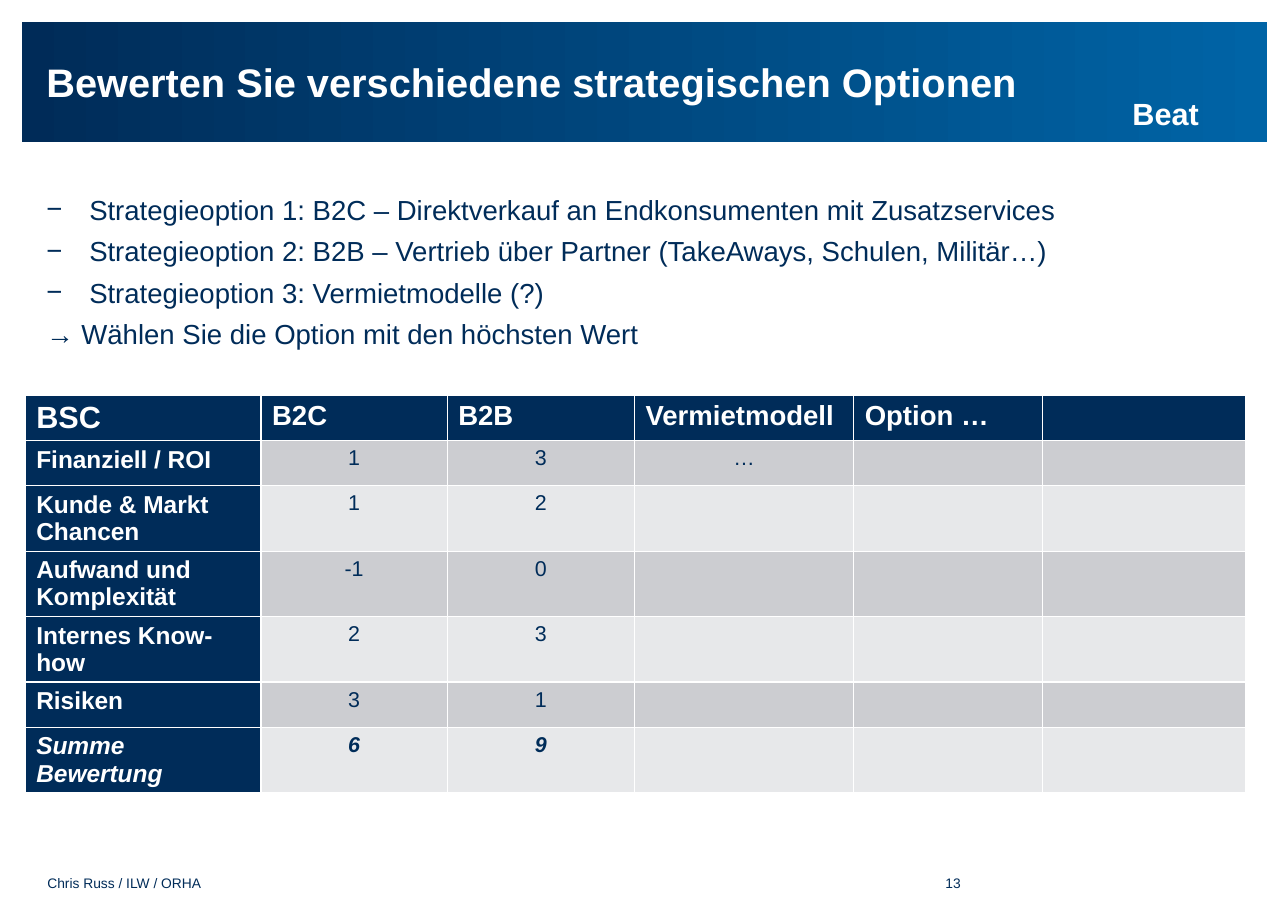
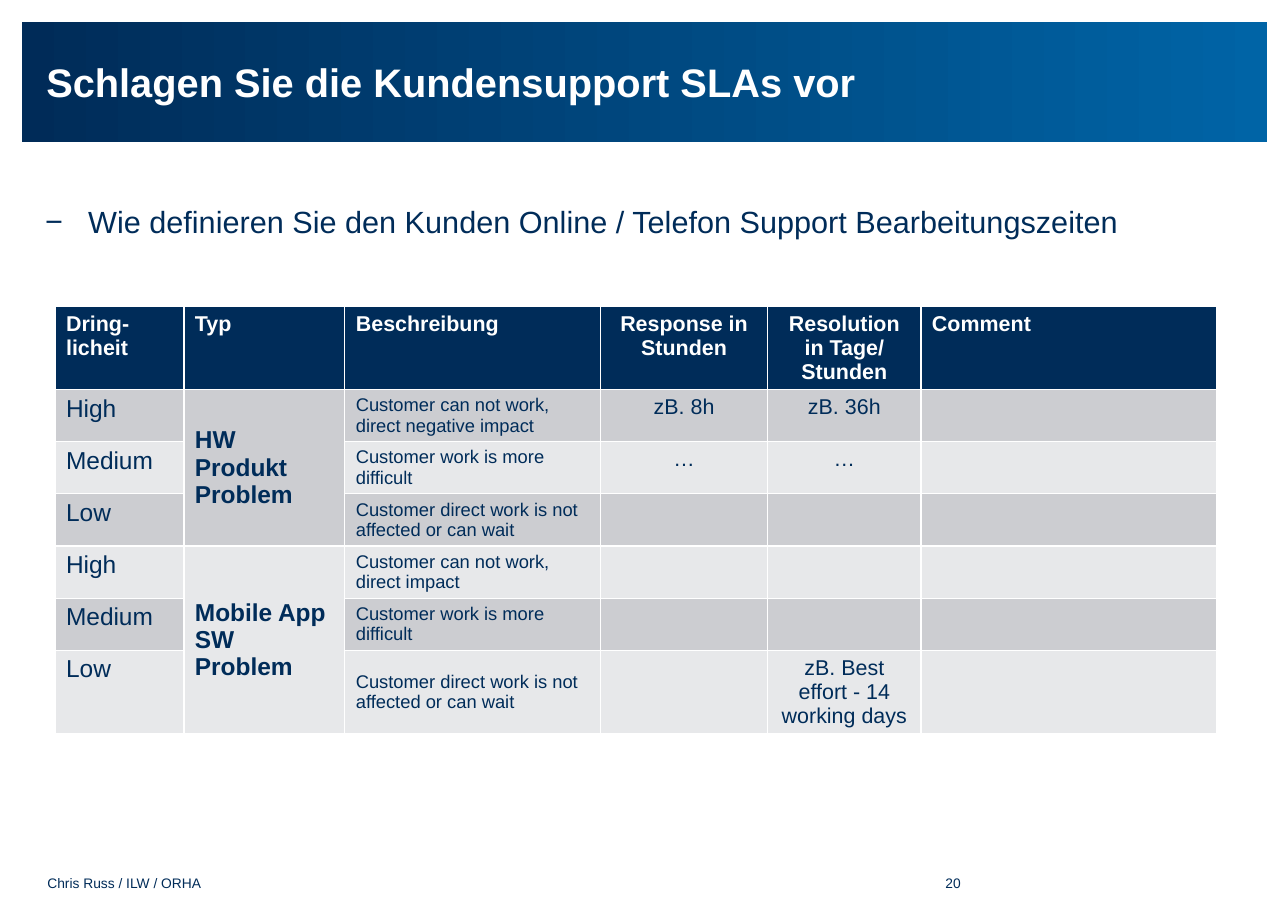
from dataclasses import dataclass

from lxml import etree
from pptx import Presentation
from pptx import util as u
from pptx.dml.color import RGBColor
from pptx.enum import shapes, text
from pptx.oxml.ns import qn


@dataclass(frozen=True)
class Theme:
    font: str = "Arial"
    navy: RGBColor = RGBColor(0x00, 0x2C, 0x59)
    band_start: RGBColor = RGBColor(0x00, 0x2B, 0x58)
    band_end: RGBColor = RGBColor(0x00, 0x64, 0xA6)
    white: RGBColor = RGBColor(0xFF, 0xFF, 0xFF)
    row_dark: RGBColor = RGBColor(0xCC, 0xCD, 0xD1)
    row_light: RGBColor = RGBColor(0xE7, 0xE8, 0xEA)
    title_size: int = 26
    large_size: int = 20
    body_size: int = 18
    label_size: int = 16
    value_size: int = 14
    detail_size: int = 12
    footer_size: int = 9


theme = Theme()
LEFT, CENTER, RIGHT = text.PP_ALIGN.LEFT, text.PP_ALIGN.CENTER, text.PP_ALIGN.RIGHT
TOP, MIDDLE = text.MSO_ANCHOR.TOP, text.MSO_ANCHOR.MIDDLE


def write(frame, lines, size, color=theme.navy, align=LEFT, bold=False, italic=False):
    frame.word_wrap = True
    for number, line in enumerate(lines):
        paragraph = frame.add_paragraph() if number else frame.paragraphs[0]
        paragraph.alignment = align
        run = paragraph.add_run()
        run.text = line
        run.font.color.rgb = color
        formats = {"name": theme.font, "size": u.Pt(size), "bold": bold, "italic": italic}
        for name, value in formats.items():
            setattr(run.font, name, value)


def place(shape, box, anchor=TOP):
    for name, value in zip(("left", "top", "width", "height"), box):
        setattr(shape, name, u.Inches(value))
    formats = {"auto_size": text.MSO_AUTO_SIZE.NONE, "vertical_anchor": anchor}
    formats.update({f"margin_{side}": 0 for side in ("left", "top", "right", "bottom")})
    for name, value in formats.items():
        setattr(shape.text_frame, name, value)


pages = [
    {
        "title": "Bewerten Sie verschiedene strategischen Optionen",
        "number": "13",
        "author": "Beat",
        "body_box": (0.42, 1.69, 11.09, 1.74),
        "body_size": theme.body_size,
        "bullets": [
            "Strategieoption 1: B2C – Direktverkauf an Endkonsumenten mit Zusatzservices",
            "Strategieoption 2: B2B – Vertrieb über Partner (TakeAways, Schulen, Militär…)",
            "Strategieoption 3: Vermietmodelle (?)",
        ],
        "conclusion": ["→ Wählen Sie die Option mit den höchsten Wert"],
        "table_at": (0.23, 3.59),
        "columns": [2.14, 1.69, 1.7, 1.99, 1.71, 1.85],
        "header_sizes": [theme.large_size] + [theme.body_size] * 5,
        "header_aligns": [LEFT] * 6,
        "sizes": [theme.label_size] + [theme.value_size] * 5,
        "aligns": [LEFT] + [CENTER] * 5,
        "bold_column": 0,
        "label_column": True,
        "total_row": 6,
        "merges": [],
        "middle_cells": [],
        "rows": [
            ["BSC", "B2C", "B2B", "Vermietmodell", "Option …", ""],
            ["Finanziell / ROI", "1", "3", "…", "", ""],
            ["Kunde & Markt Chancen", "1", "2", "", "", ""],
            ["Aufwand und Komplexität", "-1", "0", "", "", ""],
            ["Internes Know-how", "2", "3", "", "", ""],
            ["Risiken", "3", "1", "", "", ""],
            ["Summe Bewertung", "6", "9", "", "", ""],
        ],
    },
    {
        "title": "Schlagen Sie die Kundensupport SLAs vor",
        "number": "20",
        "author": "",
        "body_box": (0.41, 1.78, 11.09, 0.8),
        "body_size": theme.large_size,
        "bullets": ["Wie definieren Sie den Kunden Online / Telefon Support Bearbeitungszeiten"],
        "conclusion": [],
        "table_at": (0.5, 2.78),
        "columns": [1.17, 1.46, 2.32, 1.52, 1.39, 2.68],
        "header_sizes": [theme.value_size] * 6,
        "header_aligns": [LEFT] * 3 + [CENTER] * 2 + [LEFT],
        "sizes": [theme.label_size] * 2 + [theme.detail_size] + [theme.value_size] * 3,
        "aligns": [LEFT] * 3 + [CENTER] * 2 + [LEFT],
        "bold_column": 1,
        "label_column": False,
        "total_row": None,
        "merges": [((1, 1), (3, 1)), ((4, 1), (6, 1))],
        "middle_cells": [(1, 1), (4, 1), (3, 2), (6, 2)],
        "rows": [
            ["Dring-licheit", "Typ", "Beschreibung", "Response in Stunden",
             "Resolution in Tage/ Stunden", "Comment"],
            ["High", "HW Produkt Problem", "Customer can not work, direct negative impact",
             "zB. 8h", "zB. 36h", ""],
            ["Medium", "", "Customer work is more difficult", "…", "…", ""],
            ["Low", "", "Customer direct work is not affected or can wait", "", "", ""],
            ["High", "Mobile App SW Problem", "Customer can not work, direct impact", "", "", ""],
            ["Medium", "", "Customer work is more difficult", "", "", ""],
            ["Low", "", "Customer direct work is not affected or can wait", "",
             "zB. Best effort - 14 working days", ""],
        ],
    },
]

presentation = Presentation()
presentation.slide_width = u.Inches(11.69)
presentation.slide_height = u.Inches(8.27)
title_only = presentation.slide_layouts[5]

for page in pages:
    slide = presentation.slides.add_slide(title_only)

    band = slide.shapes.add_shape(
        shapes.MSO_SHAPE.RECTANGLE, u.Inches(0.2), u.Inches(0.2), u.Inches(11.3), u.Inches(1.09))
    band.shadow.inherit = False
    band.line.fill.background()
    band.fill.gradient()
    band.fill.gradient_angle = 0
    for stop, color, position in zip(
            band.fill.gradient_stops, (theme.band_start, theme.band_end), (0, 1)):
        stop.color.rgb = color
        stop.position = position
    slide.shapes.element.insert(2, band.element)

    title = slide.shapes.title
    place(title, (0.42, 0.28, 10.86, 0.92), MIDDLE)
    write(title.text_frame, [page["title"]], theme.title_size, theme.white, bold=True)

    for line, box, align in (
            ("Chris Russ / ILW / ORHA", (0.43, 7.94, 1.65, 0.15), LEFT),
            (page["number"], (7.85, 7.94, 0.87, 0.15), RIGHT)):
        footer = slide.shapes.add_textbox(0, 0, 0, 0)
        place(footer, box, MIDDLE)
        write(footer.text_frame, [line], theme.footer_size, align=align)

    body = slide.shapes.add_textbox(0, 0, 0, 0)
    place(body, page["body_box"])
    write(body.text_frame, page["bullets"] + page["conclusion"], page["body_size"])
    for number, paragraph in enumerate(body.text_frame.paragraphs):
        paragraph.line_spacing = 1.2
        paragraph.space_before = u.Pt(1.2)
        if number < len(page["bullets"]):
            properties = paragraph._p.get_or_add_pPr()
            properties.set("marL", str(u.Inches(0.39)))
            properties.set("indent", str(-u.Inches(0.39)))
            etree.SubElement(properties, qn("a:buFont")).set("typeface", theme.font)
            etree.SubElement(properties, qn("a:buChar")).set("char", "−")

    rows, columns = page["rows"], page["columns"]
    left, top = page["table_at"]
    row_height = 0.41
    table = slide.shapes.add_table(
        len(rows), len(columns), u.Inches(left), u.Inches(top),
        u.Inches(sum(columns)), u.Inches(row_height * len(rows))).table
    table.first_col = page["label_column"]
    for column, width in zip(table.columns, columns):
        column.width = u.Inches(width)
    for row in table.rows:
        row.height = u.Inches(row_height)
    for first, last in page["merges"]:
        table.cell(*first).merge(table.cell(*last))

    for r, values in enumerate(rows):
        header, total = r == 0, r == page["total_row"]
        sizes = page["header_sizes" if header else "sizes"]
        aligns = page["header_aligns" if header else "aligns"]
        for c, value in enumerate(values):
            cell = table.cell(r, c)
            dark = header or (c == 0 and page["label_column"])
            stripe = theme.row_dark if r % 2 else theme.row_light
            cell.fill.solid()
            cell.fill.fore_color.rgb = theme.navy if dark else stripe
            cell.vertical_anchor = MIDDLE if (r, c) in page["middle_cells"] else TOP
            if value:
                write(cell.text_frame, [value], sizes[c], theme.white if dark else theme.navy,
                      aligns[c], header or total or c == page["bold_column"], total)

    if page["author"]:
        author = slide.shapes.add_textbox(
            u.Inches(10.18), u.Inches(0.81), u.Inches(1.39), u.Inches(0.44))
        write(author.text_frame, [page["author"]], theme.large_size, theme.white, bold=True)

presentation.save("out.pptx")
